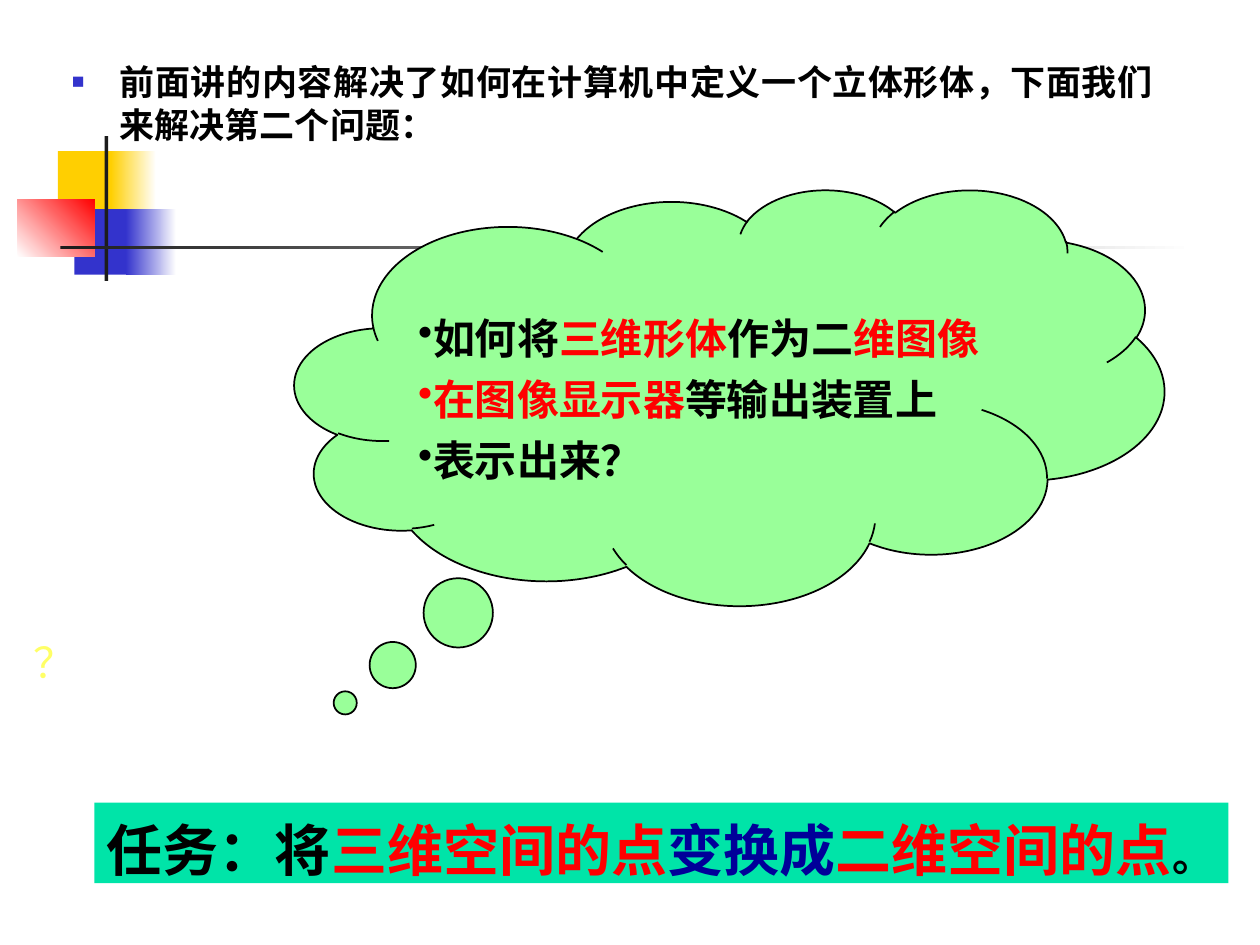
from pptx import Presentation
from pptx.dml.color import RGBColor
from pptx.enum.shapes import MSO_SHAPE
from pptx.enum.text import MSO_ANCHOR, MSO_AUTO_SIZE, PP_ALIGN
from pptx.oxml.ns import qn
from pptx.util import Inches, Pt
from lxml.etree import SubElement

COLORS = {
    "black": "000000", "white": "FFFFFF", "red": "FF0000", "navy": "000099",
    "gold": "FFCF01", "blue": "3333CC", "ink": "1C1C1C", "mint": "99FF99",
    "teal": "00E4A8", "green": "00FF00", "yellow": "FFFF66",
}
CJK_FONT = "Noto Sans CJK SC"

# left, top, width, height, start colour, end colour (None: solid), angle
DECORATION = [
    (0.46, 1.2, 0.48, 0.52, "gold", None, 0),
    (0.88, 1.2, 0.36, 0.52, "gold", "white", 0),
    (0.59, 1.66, 0.46, 0.52, "blue", None, 0),
    (1, 1.66, 0.4, 0.52, "blue", "white", 0),
    (0.14, 1.58, 0.61, 0.46, "white", "red", 45),
    (0.83, 1.08, 0.03, 1.15, "ink", None, 0),
    (0.48, 1.95, 9, 0.03, "ink", "white", 0),
]

# Each paragraph is a list of runs: text, colour, size
INTRO = [[("前面讲的内容解决了如何在计算机中定义一个立体形体，下面我们来解决第二个问题：", "black", 20)]]
QUESTION = [
    [("如何将", "black", 24), ("三维形体", "red", 24),
     ("作为二", "black", 24), ("维图像", "red", 24)],
    [("在图像显示器", "red", 24), ("等输出装置上", "black", 24)],
    [("表示出来？", "black", 24)],
]
TASK = [[("任务：将", "black", 32), ("三维空间的点", "red", 32), ("变换成", "navy", 32),
         ("二维空间的点", "red", 32), ("。", "black", 24)]]
MARK = [[("？", "green", 24)]]


def rgb(name):
    return RGBColor.from_string(COLORS[name])


def box(*lengths):
    return [Inches(v) for v in lengths]


def add_shape(s, kind, at, color, end=None, angle=0):
    sp = s.shapes.add_shape(kind, *box(*at))
    sp.shadow.inherit = False
    sp.line.fill.background()
    if end:
        sp.fill.gradient()
        sp.fill.gradient_angle = angle
        for stop, name, position in zip(sp.fill.gradient_stops, (color, end), (0, 1)):
            stop.color.rgb = rgb(name)
            stop.position = position
    else:
        sp.fill.solid()
        sp.fill.fore_color.rgb = rgb(color)
    return sp


def set_bullet(p, char, color, size=100, indent=0):
    pPr = p._p.get_or_add_pPr()
    pPr.set("marL", str(Inches(indent)))
    pPr.set("indent", str(-Inches(indent)))
    SubElement(SubElement(pPr, qn("a:buClr")), qn("a:srgbClr"), val=COLORS[color])
    SubElement(pPr, qn("a:buSzPct"), val=str(size * 1000))
    SubElement(pPr, qn("a:buChar"), char=char)


def write(sp, paragraphs, font, bold=True, align=PP_ALIGN.LEFT, leading=None,
          space=0, inset_top=0.05, wrap=True, bullet=None):
    tf = sp.text_frame
    frame = {"word_wrap": wrap, "auto_size": MSO_AUTO_SIZE.NONE,
             "vertical_anchor": MSO_ANCHOR.TOP, "margin_left": Inches(0.1),
             "margin_right": Inches(0.1), "margin_top": Inches(inset_top),
             "margin_bottom": Inches(0.05)}
    for name, value in frame.items():
        setattr(tf, name, value)
    for i, runs in enumerate(paragraphs):
        p = tf.add_paragraph() if i else tf.paragraphs[0]
        p.alignment = align
        p.space_before = Pt(space if i else 0)
        if leading:
            p.line_spacing = Pt(leading)
        if bullet:
            set_bullet(p, color=bullet.get("color", runs[0][1]),
                       **{k: v for k, v in bullet.items() if k != "color"})
        for text, color, size in runs:
            r = p.add_run()
            r.text = text
            for name, value in {"name": font, "size": Pt(size), "bold": bold}.items():
                setattr(r.font, name, value)
            r.font.color.rgb = rgb(color)
            SubElement(r._r.get_or_add_rPr(), qn("a:ea"), typeface=CJK_FONT)


def outline_text(r, color, alpha):
    """Make the run's fill partly transparent and give its letters an outline."""
    rPr = r._r.get_or_add_rPr()
    SubElement(rPr.find(".//" + qn("a:srgbClr")), qn("a:alpha"), val=str(alpha * 1000))
    ln = SubElement(rPr, qn("a:ln"), w=str(Pt(1)))
    SubElement(SubElement(ln, qn("a:solidFill")), qn("a:srgbClr"), val=COLORS[color])
    rPr.insert(0, ln)


def main():
    prs = Presentation()
    prs.slide_width, prs.slide_height = box(10, 7.5)
    s = prs.slides.add_slide(prs.slide_layouts[1])
    title, body = s.placeholders
    title.element.getparent().remove(title.element)

    for *at, color, end, angle in DECORATION:
        add_shape(s, MSO_SHAPE.RECTANGLE, at, color, end, angle)

    body.left, body.top, body.width, body.height = box(0.47, 0.42, 8.78, 0.92)
    s.shapes._spTree.append(body.element)
    write(body, INTRO, "Karla", align=PP_ALIGN.JUSTIFY, leading=24.6,
          bullet={"char": "■", "color": "blue", "size": 60, "indent": 0.38})

    cloud = add_shape(s, MSO_SHAPE.CLOUD_CALLOUT, (2.34, 1.5, 6.9, 3.3), "mint")
    cloud.adjustments[0], cloud.adjustments[1] = -0.442, 0.736
    cloud.line.color.rgb = rgb("black")
    cloud.line.width = Pt(1)

    question = s.shapes.add_textbox(*box(3.22, 2.4, 6.11, 1.47))
    write(question, QUESTION, "Times New Roman", align=PP_ALIGN.JUSTIFY,
          leading=28.9, space=6, inset_top=0.08, bullet={"char": "•"})

    mark = s.shapes.add_textbox(*box(0.17, 5, 1.86, 1))
    write(mark, MARK, CJK_FONT, bold=False, wrap=False)
    outline_text(mark.text_frame.paragraphs[0].runs[0], "yellow", 50)

    task = add_shape(s, MSO_SHAPE.RECTANGLE, (0.75, 6.37, 9, 0.64), "teal")
    write(task, TASK, "Times New Roman", leading=38.6, inset_top=0.1)

    prs.save("out.pptx")


if __name__ == "__main__":
    main()
